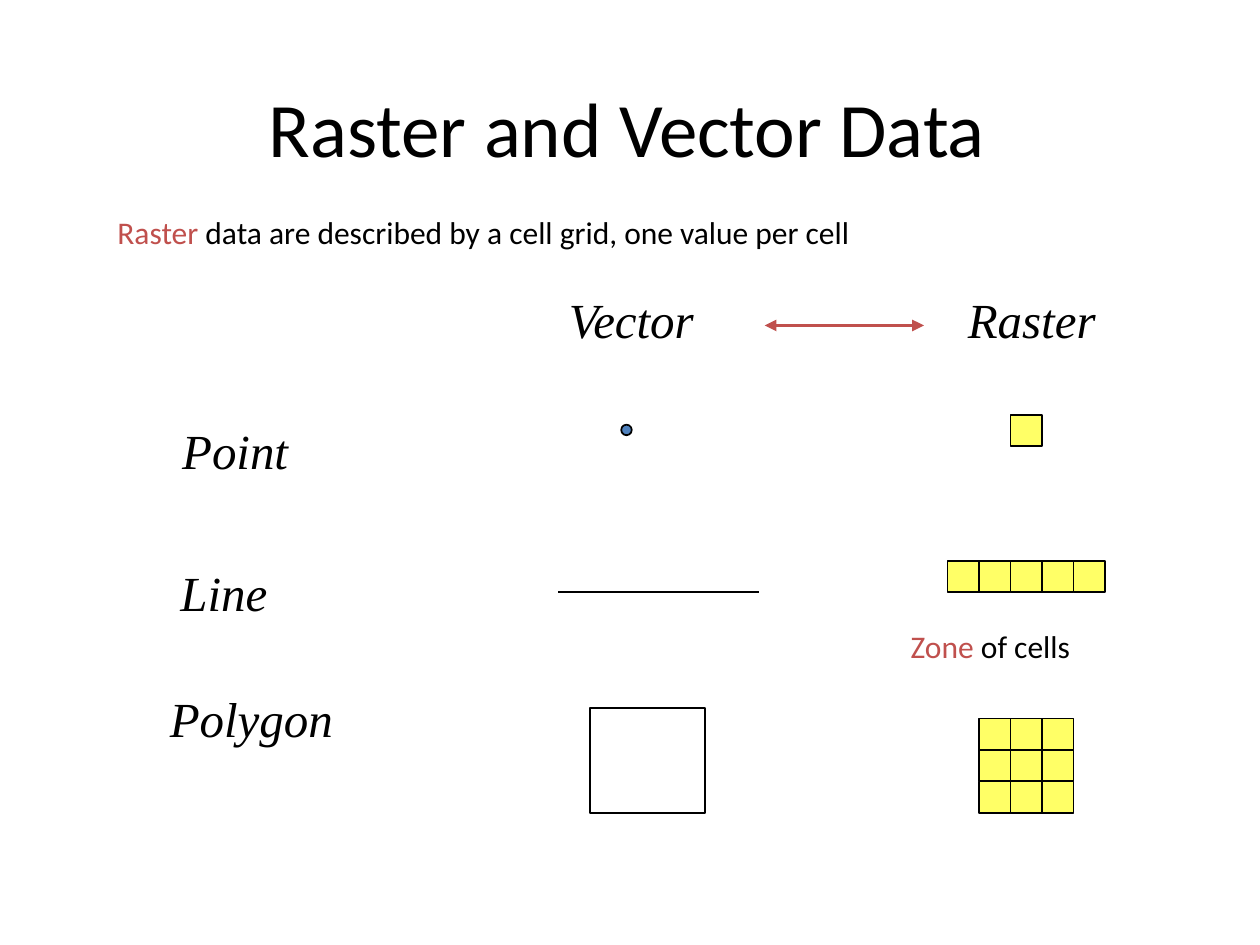
"""Build a slide that compares raster and vector data."""
from lxml import etree
from pptx import Presentation
from pptx.dml.color import RGBColor
from pptx.enum.shapes import MSO_CONNECTOR, MSO_SHAPE
from pptx.enum.text import MSO_ANCHOR, PP_ALIGN
from pptx.oxml.ns import qn
from pptx.util import Pt

RECTANGLE, OVAL = MSO_SHAPE.RECTANGLE, MSO_SHAPE.OVAL
STRAIGHT = MSO_CONNECTOR.STRAIGHT
LEFT, CENTER = PP_ALIGN.LEFT, PP_ALIGN.CENTER
TOP, MIDDLE = MSO_ANCHOR.TOP, MSO_ANCHOR.MIDDLE
COLORS = {"ink": "000000", "accent": "C0504D", "cell": "FFFF66", "point": "4F81BD"}
CELL = 18

prs = Presentation()
prs.slide_width, prs.slide_height = Pt(720), Pt(540)
slide = prs.slides.add_slide(prs.slide_layouts[6])


def add_text(text, left, top, width, height, size=18, font="Calibri",
             italic=False, align=LEFT, anchor=TOP, accent="", wrap=False):
    box = slide.shapes.add_textbox(Pt(left), Pt(top), Pt(width), Pt(height))
    frame = box.text_frame
    frame.word_wrap = wrap
    frame.vertical_anchor = anchor
    paragraph = frame.paragraphs[0]
    paragraph.alignment = align
    for part, color in ((accent, "accent"), (text, "ink")):
        if part:
            run = paragraph.add_run()
            run.text = part
            run.font.name, run.font.size, run.font.italic = font, Pt(size), italic
            run.font.color.rgb = RGBColor.from_string(COLORS[color])


def add_figure(kind, left, top, width, height, fill=None):
    figure = slide.shapes.add_shape(kind, Pt(left), Pt(top), Pt(width), Pt(height))
    figure.shadow.inherit = False
    figure.line.color.rgb = RGBColor.from_string(COLORS["ink"])
    figure.line.width = Pt(1)
    if fill:
        figure.fill.solid()
        figure.fill.fore_color.rgb = RGBColor.from_string(COLORS[fill])
    else:
        figure.fill.background()


add_text("Raster and Vector Data", 52.5, 27.5, 612, 90, size=44,
         align=CENTER, anchor=MIDDLE, wrap=True)
add_text(" data are described by a cell grid, one value per cell",
         60, 118, 568, 36, accent="Raster")
add_text(" of cells", 513.3, 355, 140, 36, accent="Zone")

for heading, left, top, width in (
    ("Vector", 318, 162, 89),
    ("Raster", 546, 162, 88),
    ("Point", 97, 237, 101),
    ("Line", 96, 318, 64),
    ("Polygon", 90, 390, 108),
):
    add_text(heading, left, top, width, 41, size=28, font="Times New Roman",
             italic=True, wrap=heading == "Point")

add_figure(OVAL, 355, 242.7, 6, 6, fill="point")
add_figure(RECTANGLE, 337, 404.5, 66, 60)

for left, top, columns, rows in (
    (577.5, 237, 1, 1),
    (541.5, 320.5, 5, 1),
    (559.5, 410.5, 3, 3),
):
    for row in range(rows):
        for column in range(columns):
            add_figure(RECTANGLE, left + column * CELL, top + row * CELL,
                       CELL, CELL, fill="cell")

for start, end, y, color, weight, arrows in (
    (319, 433.5, 338.5, "ink", 1, ()),
    (437, 528, 186, "accent", 2.25, ("headEnd", "tailEnd")),
):
    stroke = slide.shapes.add_connector(STRAIGHT, Pt(start), Pt(y), Pt(end), Pt(y))
    stroke.line.color.rgb = RGBColor.from_string(COLORS[color])
    stroke.line.width = Pt(weight)
    for arrow in arrows:
        etree.SubElement(stroke.line._get_or_add_ln(), qn(f"a:{arrow}"), type="triangle")
    etree.SubElement(stroke._element.spPr, qn("a:effectLst"))

prs.save("out.pptx")
